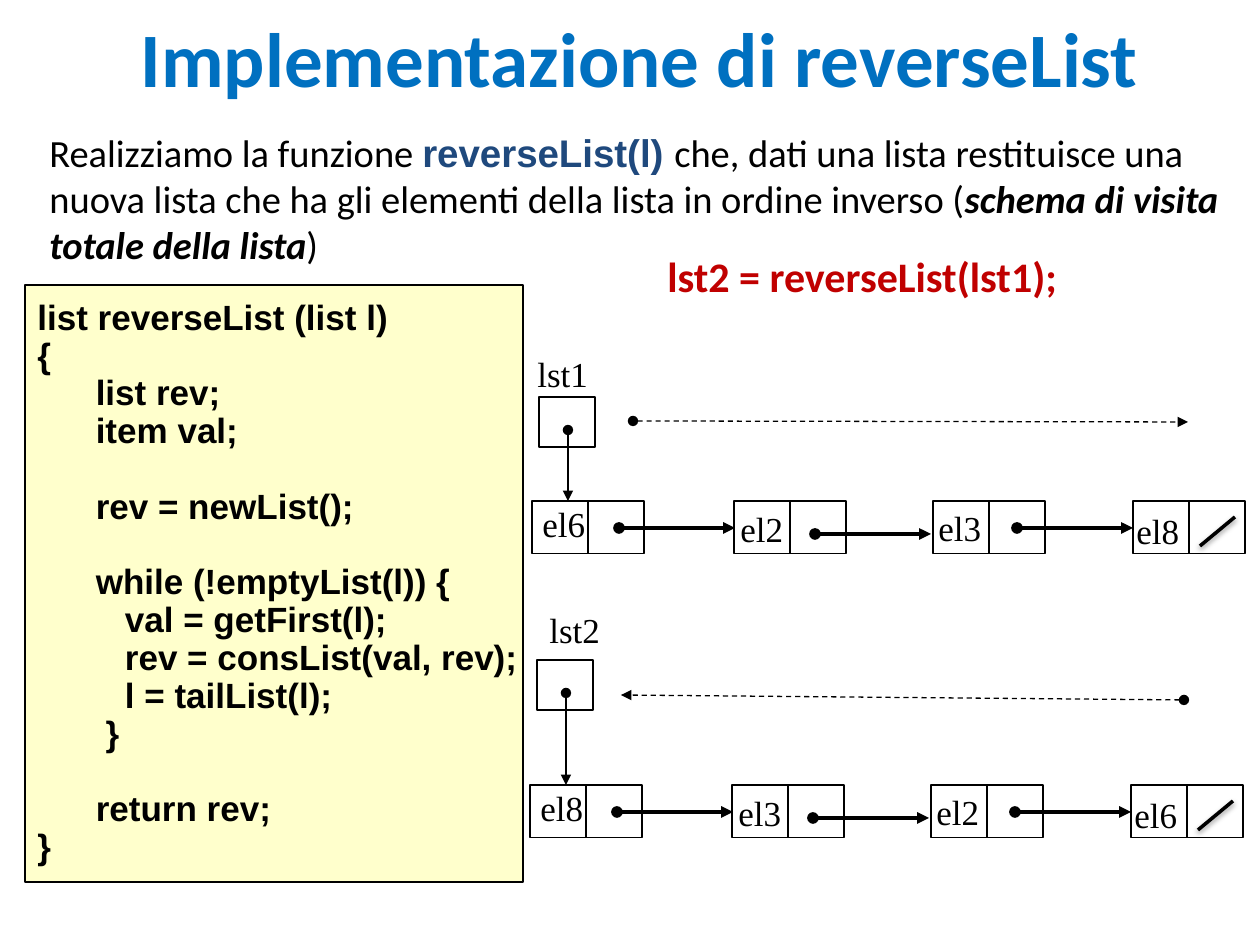
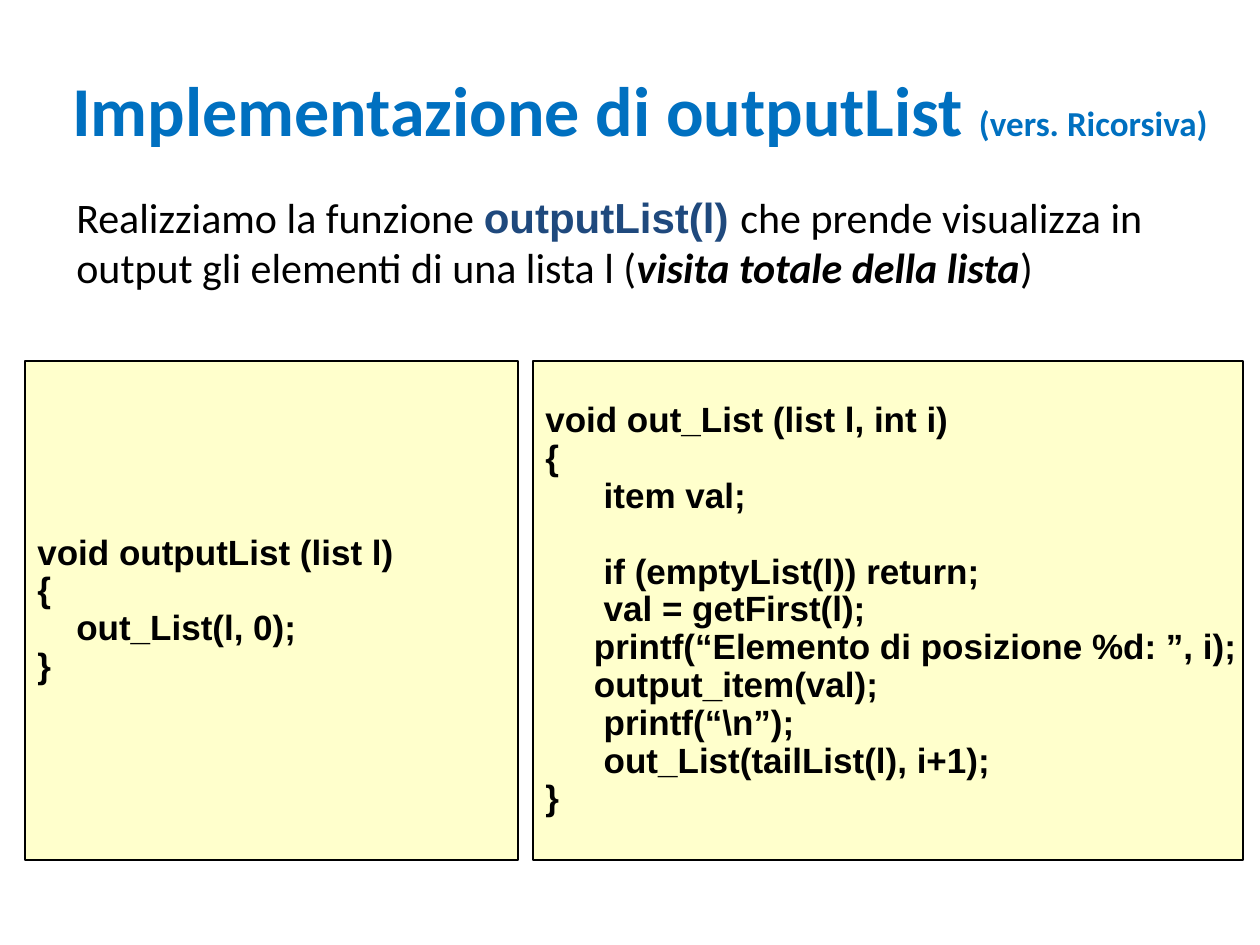
from lxml import etree
from pptx import Presentation
from pptx.dml.color import RGBColor
from pptx.enum import dml, shapes, text
from pptx.oxml import ns
from pptx.util import Emu, Pt

PIXEL = 914400 // 126
COLORS = {"title": "0070C0", "ink": "000000", "function": "1F497D",
          "call": "C00000", "code": "FFFFCC"}
BODY, CODE, LABEL = "Calibri", "Arial", "Times New Roman"
CODE_SIZE = 20
SPACE = 0.278 * CODE_SIZE  # width of one blank in the code font, in points
CODE_LINE = 21.6           # height of one skipped code line, in points

REVERSE_CODE = """list reverseList (list l)
{
      list rev;
      item val;

      rev = newList();

      while (!emptyList(l)) {
         val = getFirst(l);
         rev = consList(val, rev);
         l = tailList(l);
       }

      return rev;
}"""
OUTPUT_CODE = """void outputList (list l)
{
    out_List(l, 0);
}"""
RECURSIVE_CODE = """void out_List (list l, int i)
{
      item val;

      if (emptyList(l)) return;
      val = getFirst(l);
     printf(“Elemento di posizione %d: ”, i);
     output_item(val);
      printf(“\\n”);
      out_List(tailList(l), i+1);
}"""


def px(*lengths):
    """Turn picture pixels into EMU."""
    return [Emu(round(length * PIXEL)) for length in lengths]


def color(name):
    """Look up a named colour."""
    return RGBColor.from_string(COLORS[name])


def add_span(para, words, size, font=BODY, ink="ink", bold=False, italic=False):
    """Add one formatted run to a paragraph."""
    span = para.add_run()
    span.text = words
    span.font.size = Pt(size)
    span.font.name = font
    span.font.bold = bold
    span.font.italic = italic
    span.font.color.rgb = color(ink)


def add_text(parent, area, spans, wrap=True, centred=False):
    """Add a one-paragraph text box; each span holds add_span arguments."""
    box = parent.shapes.add_textbox(*px(*area))
    frame = box.text_frame
    frame.word_wrap = wrap
    para = frame.paragraphs[0]
    if centred:
        frame.vertical_anchor = text.MSO_ANCHOR.MIDDLE
        para.alignment = text.PP_ALIGN.CENTER
    for span in spans:
        add_span(para, **span)


def add_title(page, area, *parts):
    """Add the blue title from (words, size) parts."""
    add_text(page, area, [dict(words=words, size=size, ink="title", bold=True)
                          for words, size in parts], centred=True)


def add_intro(page, area, size, function, purpose, scheme):
    """Add the sentence that presents a function and its visiting scheme."""
    add_text(page, area, [
        dict(words="Realizziamo la funzione ", size=size),
        dict(words=function + " ", size=size, font=CODE, ink="function", bold=True),
        dict(words=purpose + " (", size=size),
        dict(words=scheme, size=size, bold=True, italic=True),
        dict(words=")", size=size)])


def add_box(parent, area, kind=shapes.MSO_SHAPE.RECTANGLE, fill=None):
    """Add a thinly outlined box, filled or empty."""
    box = parent.shapes.add_shape(kind, *px(*area))
    box.shadow.inherit = False
    box.line.color.rgb = color("ink")
    box.line.width = Pt(0.75)
    if fill:
        box.fill.solid()
        box.fill.fore_color.rgb = color(fill)
    else:
        box.fill.background()
    return box


def add_code(page, area, code):
    """Add a code panel; leading blanks become indents, empty lines spacing."""
    box = add_box(page, area, shapes.MSO_SHAPE.FLOWCHART_PROCESS, "code")
    frame = box.text_frame
    frame.word_wrap = True
    frame.margin_right = 0
    frame.vertical_anchor = text.MSO_ANCHOR.MIDDLE
    para, skipped = frame.paragraphs[0], 0
    for number, line in enumerate(code.split("\n")):
        if not line:
            skipped += 1
            continue
        if number:
            para = frame.add_paragraph()
        words = line.lstrip()
        para.alignment = text.PP_ALIGN.LEFT
        para.line_spacing = 0.9
        para.space_before = Pt(skipped * CODE_LINE)
        indent = Pt((len(line) - len(words)) * SPACE)
        para._p.get_or_add_pPr().set("marL", str(int(indent)))
        add_span(para, words, CODE_SIZE, CODE, bold=True)
        skipped = 0


def add_line(parent, start, end, width, dashed=False, arrow=True):
    """Add a dot-to-arrowhead line, or a plain stroke with a soft shadow."""
    line = parent.shapes.add_connector(shapes.MSO_CONNECTOR.STRAIGHT,
                                       *px(*start, *end))
    line.line.color.rgb = color("ink")
    line.line.width = Pt(width)
    if dashed:
        line.line.dash_style = dml.MSO_LINE.DASH
    properties = line._element.spPr
    effects = etree.SubElement(properties, ns.qn("a:effectLst"))
    if arrow:
        outline = line.line._get_or_add_ln()
        etree.SubElement(outline, ns.qn("a:headEnd"), type="oval")
        etree.SubElement(outline, ns.qn("a:tailEnd"), type="triangle")
    else:
        shadow = etree.SubElement(effects, ns.qn("a:outerShdw"), blurRad="39370",
                                  dist="20320", dir="5400000", rotWithShape="0")
        ink = etree.SubElement(shadow, ns.qn("a:srgbClr"), val=COLORS["ink"])
        etree.SubElement(ink, ns.qn("a:alpha"), val="38000")


def add_label(parent, left, top, words, width=68):
    """Add a small serif label."""
    add_text(parent, (left, top, width, 54),
             [dict(words=words, size=20, font=LABEL)], wrap=False)


def add_linked_list(page, left, top, head_top, name, name_at, elements):
    """Draw a linked list: named head pointer, two-cell nodes, arrows, end slash."""
    group = page.shapes.add_group_shape()
    add_box(group, (left + 7, head_top, 56, 50))
    add_label(group, *name_at, name, 77)
    add_line(group, (left + 36, head_top + 33), (left + 36, top), 0.75)
    for node in (0, 202, 401, 601):
        for cell in (0, 56):
            add_box(group, (left + node + cell, top, 56, 53))
    for start, drop in ((87, 27), (283, 33), (485, 27)):
        add_line(group, (left + start, top + drop),
                 (left + start + 116, top + drop), 2.25)
    for index, (element, rise) in enumerate(zip(elements, (-5, 0, -1, 2))):
        add_label(group, left - 2 + 198 * index, top + rise, element)
    add_line(group, (left + 668, top + 45), (left + 703, top + 16), 2, arrow=False)


def build_reverse(page):
    """Build the reverseList slide."""
    add_title(page, (37, -3, 1206, 120), ("Implementazione di reverseList", 44))
    add_intro(page, (37, 123, 1206, 152), 22, "reverseList(l)",
              "che, dati una lista restituisce una nuova lista che ha gli "
              "elementi della lista in ordine inverso",
              "schema di visita totale della lista")
    add_code(page, (25, 285, 498, 597), REVERSE_CODE)
    add_text(page, (655, 244, 430, 63),
             [dict(words="lst2 = reverseList(lst1);", size=24, ink="call",
                   bold=True)], wrap=False)
    add_linked_list(page, 532, 501, 397, "lst1", (525, 346),
                    ("el6", "el2", "el3", "el8"))
    add_linked_list(page, 530, 785, 660, "lst2", (537, 602),
                    ("el8", "el3", "el2", "el6"))
    add_line(page, (633, 421), (1188, 422), 0.75, dashed=True)
    add_line(page, (1184, 700), (621, 695), 0.75, dashed=True)


def build_output(page):
    """Build the outputList slide."""
    add_title(page, (37, 21, 1206, 176), ("Implementazione di outputList ", 40),
              ("(vers. Ricorsiva)", 20))
    add_code(page, (533, 361, 710, 499), RECURSIVE_CODE)
    add_intro(page, (64, 185, 1148, 115), 24, "outputList(l)",
              "che prende visualizza in output gli elementi di una lista l",
              "visita totale della lista")
    add_code(page, (25, 361, 493, 499), OUTPUT_CODE)


def main():
    """Build and save the deck."""
    deck = Presentation()
    deck.slide_width, deck.slide_height = px(1260, 945)
    for build in (build_reverse, build_output):
        build(deck.slides.add_slide(deck.slide_layouts[6]))
    deck.save("out.pptx")


main()
